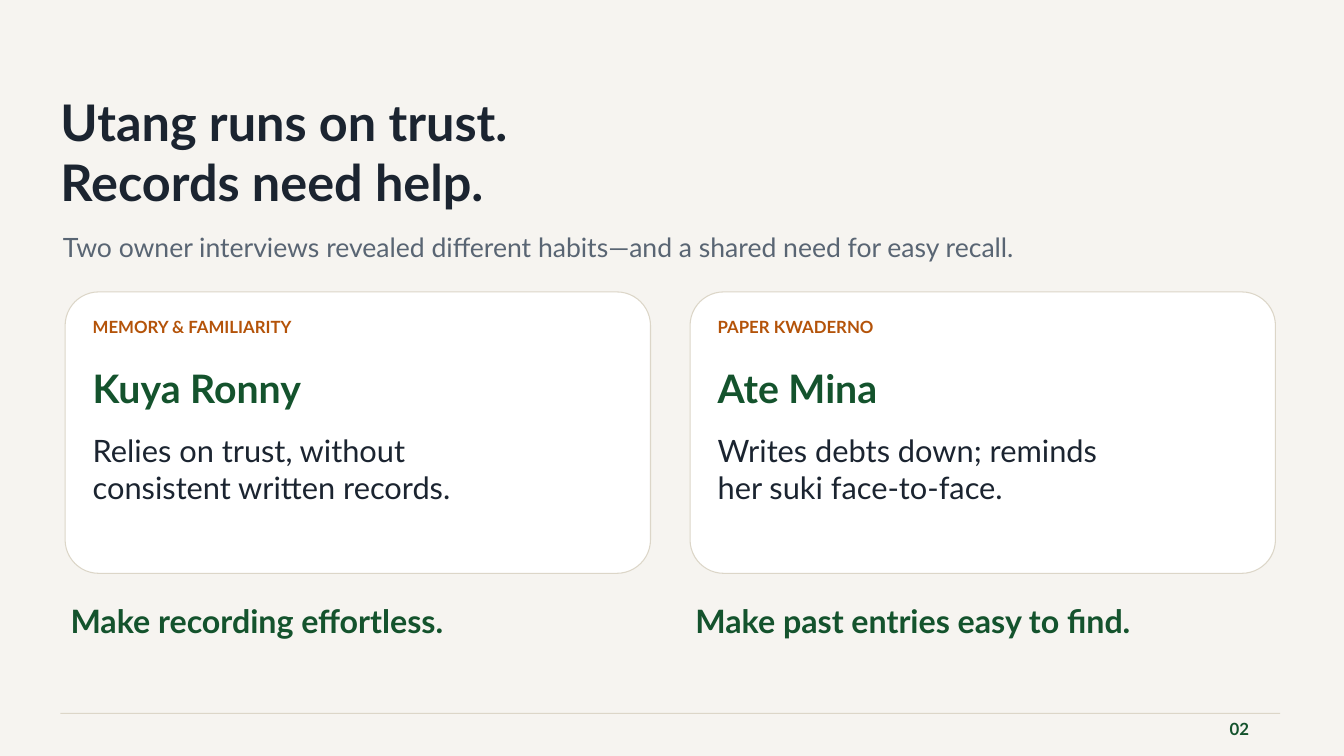
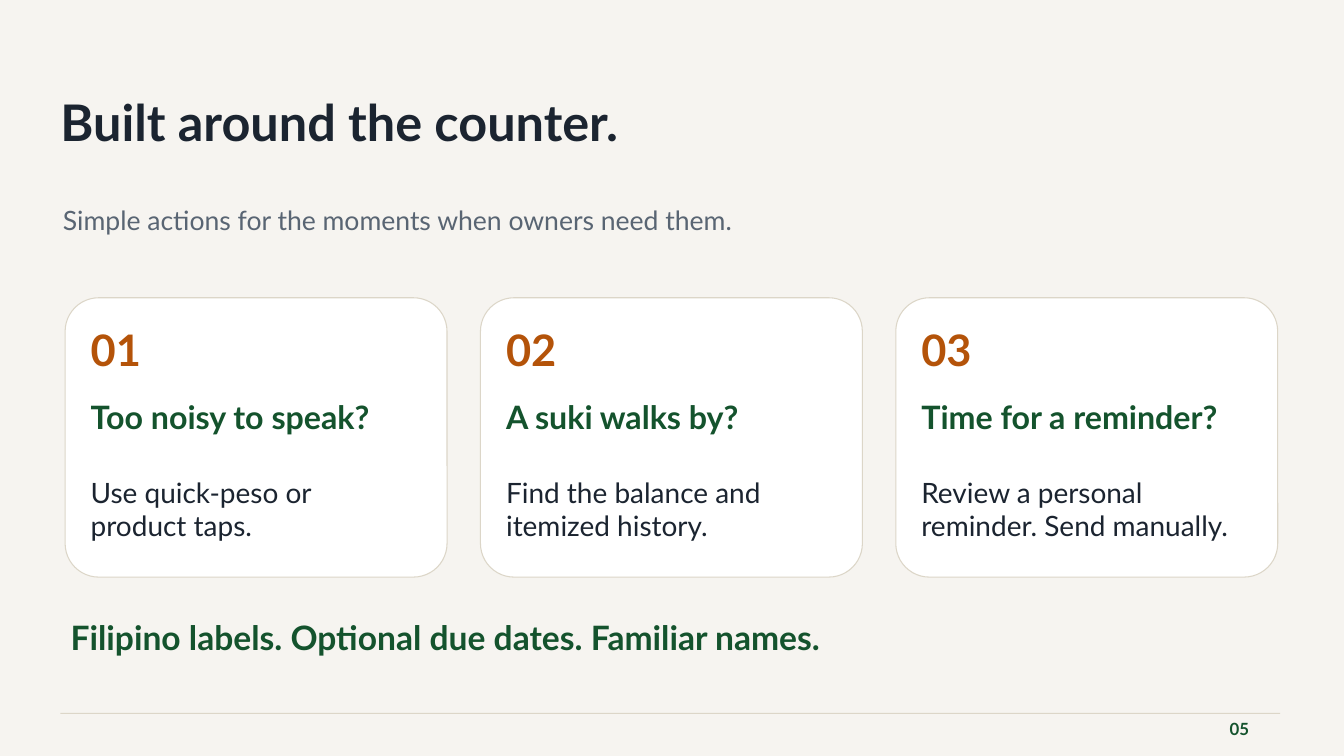
from dataclasses import dataclass

from pptx import Presentation
from pptx.dml.color import RGBColor as Rgb
from pptx.enum.shapes import MSO_SHAPE as Preset
from pptx.enum.text import MSO_ANCHOR as Anchor, MSO_AUTO_SIZE as AutoSize, PP_ALIGN as Align
from pptx.util import Pt


@dataclass(frozen=True)
class Style:
    size: float
    color: str
    bold: bool = True


class Theme:
    font = "Lato"
    leading = 1.2
    paper, white, border = "F6F4F0", "FFFFFF", "DCD6C8"
    ink, slate, green, amber = "1B2430", "596573", "14532D", "B45309"

    title = Style(54, ink)
    subtitle = Style(28.5, slate, False)
    page = Style(18, green)
    tag = Style(18, amber)
    owner = Style(42, green)
    habit = Style(33, ink, False)
    need = Style(34.5, green)
    number = Style(46.5, amber)
    moment = Style(34.5, green)
    action = Style(30, ink, False)
    summary = Style(36, green)


@dataclass(frozen=True)
class CardRow:
    """Equal cards set out from one left edge."""
    top: float
    width: float
    height: float
    pitch: float
    left: float = 69.8

    def lefts(self, cards):
        return [(self.left + i * self.pitch, card) for i, card in enumerate(cards)]


MARGIN = 64.8
CONTENT_WIDTH = 1306.8
CLOSING_LEFT = 75.6
CARD_RADIUS = 36

OWNERS = [
    ("MEMORY & FAMILIARITY", "Kuya Ronny",
     ["Relies on trust, without", "consistent written records."],
     "Make recording effortless."),
    ("PAPER KWADERNO", "Ate Mina",
     ["Writes debts down; reminds", "her suki face-to-face."],
     "Make past entries easy to find."),
]

MOMENTS = [
    ("Too noisy to speak?", ["Use quick-peso or", "product taps."]),
    ("A suki walks by?", ["Find the balance and", "itemized history."]),
    ("Time for a reminder?", ["Review a personal", "reminder. Send manually."]),
]


def place(shape, left, top, width, height):
    shape.left, shape.top = Pt(left), Pt(top)
    shape.width, shape.height = Pt(width), Pt(height)


def write(frame, lines, style):
    """Fill a text frame with one paragraph per line."""
    frame.margin_left = frame.margin_top = frame.margin_right = frame.margin_bottom = 0
    frame.word_wrap = True
    frame.auto_size = AutoSize.NONE
    frame.vertical_anchor = Anchor.TOP
    for i, line in enumerate(lines):
        paragraph = frame.add_paragraph() if i else frame.paragraphs[0]
        paragraph.alignment = Align.LEFT
        paragraph.line_spacing = Pt(style.size * Theme.leading)
        paragraph.space_before = paragraph.space_after = Pt(0)
        run = paragraph.add_run()
        run.text = line
        run.font.name = Theme.font
        run.font.size = Pt(style.size)
        run.font.bold = style.bold
        run.font.color.rgb = Rgb.from_string(style.color)


def add_text(slide, lines, style, left, top, width, height):
    box = slide.shapes.add_textbox(Pt(left), Pt(top), Pt(width), Pt(height))
    write(box.text_frame, lines, style)


def add_panel(slide, preset, fill, left, top, width, height):
    panel = slide.shapes.add_shape(preset, Pt(left), Pt(top), Pt(width), Pt(height))
    panel.shadow.inherit = False
    panel.fill.solid()
    panel.fill.fore_color.rgb = Rgb.from_string(fill)
    panel.line.fill.background()
    return panel


def add_card(slide, left, row):
    card = add_panel(slide, Preset.ROUNDED_RECTANGLE, Theme.white,
                     left, row.top, row.width, row.height)
    card.adjustments[0] = CARD_RADIUS / min(row.width, row.height)
    card.line.color.rgb = Rgb.from_string(Theme.border)
    card.line.width = Pt(1.13)


def add_slide(deck, title, subtitle, subtitle_top, page):
    """Start a slide with its footer, title and subtitle."""
    slide = deck.slides.add_slide(deck.slide_layouts.get_by_name("Title Only"))
    add_panel(slide, Preset.RECTANGLE, Theme.border, MARGIN, 763.7, CONTENT_WIDTH, 1.1)
    add_text(slide, [page], Theme.page, 1317.6, 770.4, 64.8, 27)
    place(slide.shapes.title, MARGIN, 97.2, 1301, 142.6)
    write(slide.shapes.title.text_frame, title, Theme.title)
    add_text(slide, [subtitle], Theme.subtitle, 67.5, subtitle_top, 1285, 59)
    return slide


def build_interviews(deck):
    slide = add_slide(
        deck, ["Utang runs on trust.", "Records need help."],
        "Two owner interviews revealed different habits—and a shared need for easy recall.",
        247.5, "02")
    row = CardRow(top=312.8, width=627.2, height=301.5, pitch=669.6)
    for left, (tag, owner, habit, need) in row.lefts(OWNERS):
        add_card(slide, left, row)
        text_left = left + 29.5
        add_text(slide, [tag], Theme.tag, text_left, 339.8, 561.6, 27)
        add_text(slide, [owner], Theme.owner, text_left, 390.2, 561.6, 52)
        add_text(slide, habit, Theme.habit, text_left, 462.2, 561.6, 97)
        add_text(slide, [need], Theme.need, left + CLOSING_LEFT - row.left, 643.7, 604.8, 75.6)


def build_moments(deck):
    slide = add_slide(
        deck, ["Built around the counter."],
        "Simple actions for the moments when owners need them.", 219, "05")
    row = CardRow(top=319, width=409.2, height=299.3, pitch=445)
    for number, (left, (moment, action)) in enumerate(row.lefts(MOMENTS), start=1):
        add_card(slide, left, row)
        text_left = left + 27.4
        add_text(slide, [f"{number:02}"], Theme.number, text_left, 346.5, 345.6, 53)
        add_text(slide, [moment], Theme.moment, text_left, 426, 356.4, 78)
        add_text(slide, action, Theme.action, text_left, 509.2, 356.4, 93.6)
    add_text(slide, ["Filipino labels. Optional due dates. Familiar names."],
             Theme.summary, CLOSING_LEFT, 661, 1285, 45)


def main():
    deck = Presentation()
    deck.slide_width, deck.slide_height = Pt(1440), Pt(810)
    # Shared background
    backdrop = deck.slide_master.background.fill
    backdrop.solid()
    backdrop.fore_color.rgb = Rgb.from_string(Theme.paper)
    # Slides
    build_interviews(deck)
    build_moments(deck)
    deck.save("out.pptx")


if __name__ == "__main__":
    main()
